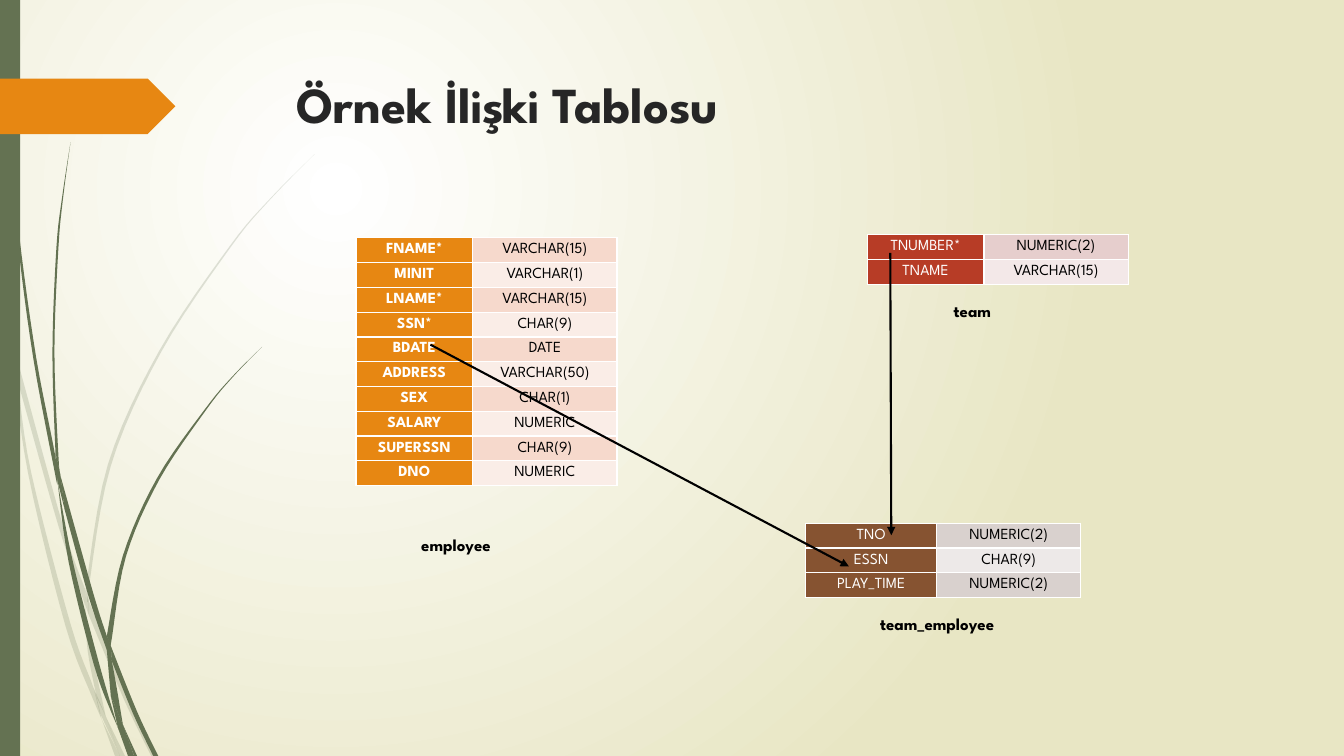
from lxml import etree
from pptx import Presentation
from pptx.dml.color import RGBColor
from pptx.enum import lang, shapes, text
from pptx.oxml.ns import qn
from pptx.util import Inches, Pt

FONT = "League Spartan"
GREEN, ORANGE, RED, BROWN = "647252", "E78712", "B73C26", "865331"
ROW_HEIGHT = Inches(2.46) / 10

# Each piece of a stem is a (right edge, left edge) pair of points from top to bottom.
PALE_STEMS = [
    ([(0, 2.82), (0.09, 3.22), (0.11, 3.5)], [(0, 2.99), (0.1, 3.44)]),
    ([(0.14, 3.45), (0.62, 5.2), (0.85, 5.86)], [(0.17, 3.76), (0.58, 5.22), (0.84, 5.99)]),
    ([(0.88, 5.96), (1.27, 6.92), (1.55, 7.5)], [(0.88, 6.1), (1.23, 6.94), (1.5, 7.5)]),
    ([(1.05, 7.11), (1.24, 7.5)], [(1.19, 7.5)]),
    ([(0.11, 3.5), (0.17, 3.76), (0.31, 4.69), (0.7, 6.19), (0.93, 6.83), (1.01, 7.14)],
     [(0.11, 3.5), (0.28, 4.7), (0.65, 6.21), (0.92, 6.93)]),
    ([(0.84, 5.99), (0.91, 6.46), (1.05, 7.11)], [(0.84, 5.99), (0.87, 6.46), (0.96, 6.92)]),
    ([(3.12, 1.53), (2.68, 1.98), (2.29, 2.45), (1.6, 3.49), (1.1, 4.62), (0.88, 5.84), (0.88, 5.96)],
     [(3.12, 1.53), (2.68, 1.97), (2.28, 2.44), (1.58, 3.48), (1.07, 4.61), (0.85, 5.84)]),
    ([(1.01, 7.14), (1.19, 7.5)], [(1.14, 7.5)]),
    ([(0.85, 5.86), (0.88, 5.96), (0.88, 6.1)], [(0.84, 5.99)]),
    ([(0.93, 6.83), (1.05, 7.11), (1.19, 7.5)], [(0.99, 7.07)]),
]
DARK_STEMS = [
    ([(0.04, 0), (0.08, 1.09), (0.19, 2.32), (0.36, 3.55), (0.55, 4.53), (0.57, 4.81)],
     [(0.03, 0), (0.07, 1.1), (0.17, 2.33), (0.33, 3.55), (0.56, 4.77)]),
    ([(0.6, 4.72), (0.93, 5.9), (1.06, 6.31)], [(0.64, 5.05), (0.88, 5.92), (1.06, 6.45)]),
    ([(1.1, 6.41), (1.36, 7.06), (1.57, 7.5)], [(1.11, 6.56), (1.32, 7.08), (1.52, 7.5)]),
    ([(0.57, 4.77), (0.72, 5.56), (0.98, 6.57), (1.17, 7.22)],
     [(0.57, 4.77), (0.68, 5.57), (0.93, 6.59), (1.11, 7.08)]),
    ([(0.7, 1.41), (0.63, 1.93), (0.58, 2.45), (0.54, 3.49), (0.58, 4.53), (0.6, 4.72)],
     [(0.7, 1.41), (0.62, 1.93), (0.56, 2.45), (0.52, 3.49), (0.55, 4.49)]),
    ([(1.22, 7.19), (1.36, 7.5)], [(1.33, 7.5)]),
    ([(0.55, 4.49), (0.6, 4.72), (0.64, 5.05)], [(0.55, 4.53), (0.57, 4.77)]),
    ([(2.6, 3.44), (2.31, 3.74), (2.05, 4.06), (1.58, 4.76), (1.25, 5.52), (1.11, 6.33), (1.1, 6.41)],
     [(2.6, 3.44), (2.31, 3.73), (2.04, 4.05), (1.56, 4.74), (1.22, 5.51), (1.06, 6.31)]),
    ([(1.17, 7.22), (1.31, 7.5)], [(1.27, 7.5)]),
    ([(1.06, 6.45), (1.11, 6.56), (1.22, 7.19)], [(1.06, 6.45), (1.1, 6.91)]),
    ([(1.06, 6.31), (1.1, 6.41), (1.11, 6.56)], [(1.06, 6.45)]),
    ([(1.1, 6.91), (1.22, 7.19), (1.33, 7.5)], [(1.17, 7.22), (1.3, 7.5)]),
]

EMPLOYEE = [
    ("FNAME*", "VARCHAR(15)"), ("MINIT", "VARCHAR(1)"), ("LNAME*", "VARCHAR(15)"), ("SSN*", "CHAR(9)"),
    ("BDATE", "DATE"), ("ADDRESS", "VARCHAR(50)"), ("SEX", "CHAR(1)"), ("SALARY", "NUMERIC"),
    ("SUPERSSN", "CHAR(9)"), ("DNO", "NUMERIC"),
]
TEAM = [("TNUMBER*", "NUMERIC(2)"), ("TNAME", "VARCHAR(15)")]
TEAM_EMPLOYEE = [("TNO", "NUMERIC(2)"), ("ESSN", "CHAR(9)"), ("PLAY_TIME", "NUMERIC(2)")]


def rgb(code):
    return RGBColor.from_string(code)


def paint(sp, color, opacity=100):
    sp.shadow.inherit = False
    sp.line.fill.background()
    sp.fill.solid()
    sp.fill.fore_color.rgb = rgb(color)
    if opacity < 100:
        clr = sp._element.spPr.find(".//" + qn("a:srgbClr"))
        etree.SubElement(clr, qn("a:alpha"), val=str(opacity * 1000))


def format_runs(p, size, color, bold):
    for r in p.runs:
        r.font.name, r.font.size, r.font.bold = FONT, Pt(size), bold
        r.font.language_id = lang.MSO_LANGUAGE_ID.TURKISH
        r.font.color.rgb = rgb(color)


def smooth(points, steps=6):
    """Return points along a Catmull-Rom curve through the given ones."""
    padded = [points[0], *points, points[-1]]
    curve = []
    for a, b, c, d in zip(padded, padded[1:], padded[2:], padded[3:]):
        for t in (i / steps for i in range(steps)):
            curve.append(tuple(
                0.5 * (2 * q + (s - p) * t + (2 * p - 5 * q + 4 * s - e) * t ** 2
                       + (3 * q - p - 3 * s + e) * t ** 3)
                for p, q, s, e in zip(a, b, c, d)))
    return curve + [points[-1]]


def add_stem(slide, right, left, opacity):
    outline = [(Inches(x), Inches(y)) for x, y in smooth(right) + smooth(left)[::-1]]
    builder = slide.shapes.build_freeform(*outline[0])
    builder.add_line_segments(outline[1:], close=True)
    paint(builder.convert_to_shape(), GREEN, opacity)


def add_block(slide, preset, left, top, width, height, color):
    sp = slide.shapes.add_shape(preset, Inches(left), Inches(top), Inches(width), Inches(height))
    paint(sp, color)


def set_background(slide):
    fill = slide.background.fill
    fill.gradient()
    for stop, position, color in zip(fill.gradient_stops, (0, 1), ("FFFFFF", "E8E6C4")):
        stop.position = position
        stop.color.rgb = rgb(color)
    lin = slide._element.find(".//" + qn("a:lin"))
    path = etree.Element(qn("a:path"), path="circle")
    etree.SubElement(path, qn("a:fillToRect"), l="50000", t="50000", r="100000", b="100000")
    lin.getparent().replace(lin, path)


def set_title(slide, title):
    sp = slide.shapes.title
    sp.left, sp.top, sp.width, sp.height = (Inches(v) for v in (2.84, 0.68, 9.75, 1.4))
    tf = sp.text_frame
    tf.text = title
    tf.auto_size = text.MSO_AUTO_SIZE.NONE
    tf.vertical_anchor = text.MSO_ANCHOR.TOP
    tf.paragraphs[0].alignment = text.PP_ALIGN.LEFT
    format_runs(tf.paragraphs[0], 36, "262626", True)


def add_borders(cell):
    tc_pr = cell._tc.get_or_add_tcPr()
    for i, side in enumerate(("lnL", "lnR", "lnT", "lnB")):
        ln = etree.Element(qn("a:" + side), w=str(Pt(1)))
        fill = etree.SubElement(ln, qn("a:solidFill"))
        etree.SubElement(fill, qn("a:srgbClr"), val="FFFFFF")
        tc_pr.insert(i, ln)


def add_field_table(slide, left, top, widths, fields, name_fill, bands, bold=False):
    """Add a table of field names and types; the types have alternating fills."""
    table = slide.shapes.add_table(len(fields), 2, Inches(left), Inches(top), Inches(sum(widths)),
                                   int(ROW_HEIGHT * len(fields))).table
    for column, width in zip(table.columns, widths):
        column.width = Inches(width)
    for i, field in enumerate(fields):
        styles = ((name_fill, "FFFFFF", bold), (bands[i % 2], "000000", False))
        for cell, value, (fill, color, strong) in zip(table.rows[i].cells, field, styles):
            cell.margin_top = cell.margin_bottom = 0
            cell.vertical_anchor = text.MSO_ANCHOR.MIDDLE
            cell.fill.solid()
            cell.fill.fore_color.rgb = rgb(fill)
            add_borders(cell)
            p = cell.text_frame.paragraphs[0]
            p.text = value
            p.alignment = text.PP_ALIGN.CENTER
            format_runs(p, 11, color, strong)


def add_label(slide, left, top, width, label):
    box = slide.shapes.add_textbox(Inches(left), Inches(top), Inches(width), Inches(0.3))
    tf = box.text_frame
    tf.text = label
    tf.word_wrap = True
    format_runs(tf.paragraphs[0], 12, "000000", True)


def add_arrow(slide, *ends):
    line = slide.shapes.add_connector(shapes.MSO_CONNECTOR.STRAIGHT, *(Inches(v) for v in ends))
    line.line.color.rgb = rgb("000000")
    line.line.width = Pt(1.5)
    etree.SubElement(line.line._get_or_add_ln(), qn("a:tailEnd"), type="triangle")
    etree.SubElement(line._element.spPr, qn("a:effectLst"))


def main():
    prs = Presentation()
    prs.slide_width, prs.slide_height = Inches(13.33), Inches(7.5)
    slide = prs.slides.add_slide(prs.slide_layouts[5])
    set_background(slide)
    for stems, opacity in ((PALE_STEMS, 20), (DARK_STEMS, 100)):
        for right, left in stems:
            add_stem(slide, right, left, opacity)
    add_block(slide, shapes.MSO_SHAPE.RECTANGLE, 0, 0, 0.2, 7.5, GREEN)
    add_block(slide, shapes.MSO_SHAPE.PENTAGON, 0, 0.78, 1.74, 0.55, ORANGE)
    set_title(slide, "Örnek İlişki Tablosu")

    add_field_table(slide, 3.53, 2.36, (1.16, 1.43), EMPLOYEE, ORANGE, ("F6D9CC", "FAEDE7"), bold=True)
    add_field_table(slide, 8.6, 2.33, (1.16, 1.43), TEAM, RED, ("E6CECD", "F3E8E8"))
    add_field_table(slide, 7.99, 5.19, (1.3, 1.43), TEAM_EMPLOYEE, BROWN, ("D9D1CE", "EDE9E8"))
    add_label(slide, 4.08, 5.26, 1.5, "employee")
    add_label(slide, 9.36, 2.93, 1.5, "team")
    add_label(slide, 8.63, 6.04, 1.62, "team_employee")
    add_arrow(slide, 8.83, 2.51, 8.84, 5.31)
    add_arrow(slide, 4.27, 3.42, 8.42, 5.62)
    prs.save("out.pptx")


if __name__ == "__main__":
    main()
